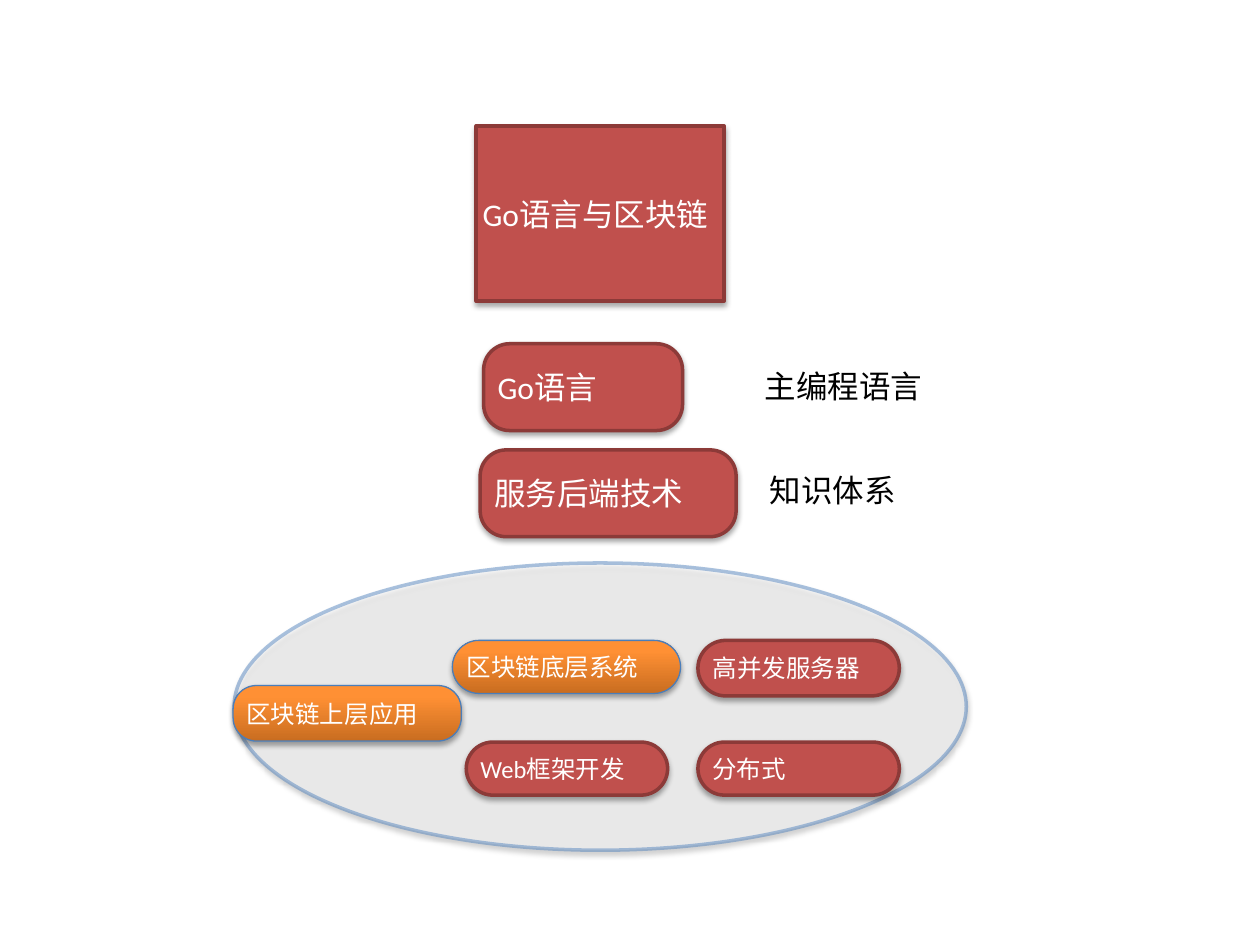
from copy import deepcopy

from lxml import etree
from pptx import Presentation
from pptx import util as u
from pptx.dml.color import RGBColor
from pptx.enum import shapes, text
from pptx.oxml import parse_xml
from pptx.oxml.ns import nsdecls, qn

WHITE = RGBColor(0xFF, 0xFF, 0xFF)
BLACK = RGBColor(0, 0, 0)
RED = RGBColor(0xC0, 0x50, 0x4D)
DARK_RED = RGBColor(0x8C, 0x3A, 0x38)
BLUE = RGBColor(0x4F, 0x81, 0xBD)
EDGE_BLUE = RGBColor(0x4A, 0x7E, 0xBB)
ORANGE_STOPS = [(0, RGBColor(0xC9, 0x6D, 0x20)),
                (0.8, RGBColor(0xFF, 0x90, 0x34)),
                (1, RGBColor(0xFF, 0x90, 0x35))]
FONT = "Calibri"
INSET = u.Cm(0.13)
RECT = shapes.MSO_SHAPE.RECTANGLE
ROUND = shapes.MSO_SHAPE.ROUNDED_RECTANGLE
SHADOW = (f'<a:outerShdw {nsdecls("a")} blurRad="38100" dist="22860" dir="5400000" '
          'rotWithShape="0"><a:srgbClr val="000000"><a:alpha val="35000"/>'
          '</a:srgbClr></a:outerShdw>')


def set_all(target, values):
    for name, value in values.items():
        setattr(target, name, value)


def write(shape, words, size, color, **frame_format):
    frame = shape.text_frame
    set_all(frame, dict(margin_left=INSET, margin_right=INSET, margin_top=INSET,
                        margin_bottom=INSET, **frame_format))
    para = frame.paragraphs[0]
    para.alignment = text.PP_ALIGN.LEFT
    span = para.add_run()
    span.text = words
    set_all(span.font, {"name": FONT, "size": u.Pt(size)})
    span.font.color.rgb = color


def add_shadowed(page, kind, box, edge, width):
    shape = page.shapes.add_shape(kind, *map(u.Cm, box))
    shape.shadow.inherit = False
    shape.line.color.rgb = edge
    shape.line.width = u.Pt(width)
    shape._element.spPr.find(qn("a:effectLst")).append(parse_xml(SHADOW))
    return shape


def fade(color_format):
    """Make a solid colour 47% opaque."""
    node = color_format._xFill.find(qn("a:srgbClr"))
    etree.SubElement(node, qn("a:alpha"), val="47000")


def fill_orange(shape):
    shape.fill.gradient()
    shape.fill.gradient_angle = 90
    stops = shape._element.spPr.find(qn("a:gradFill")).find(qn("a:gsLst"))
    stops.append(deepcopy(stops[-1]))
    for stop, (position, color) in zip(shape.fill.gradient_stops, ORANGE_STOPS):
        stop.position = position
        stop.color.rgb = color


def add_block(page, box, words, size, kind=ROUND, corner=0.5, orange=False):
    edge, width = (EDGE_BLUE, 0.75) if orange else (DARK_RED, 2)
    block = add_shadowed(page, kind, box, edge, width)
    if orange:
        fill_orange(block)
    else:
        block.fill.solid()
        block.fill.fore_color.rgb = RED
    if kind == ROUND:
        block.adjustments[0] = corner
    write(block, words, size, WHITE, word_wrap=True,
          vertical_anchor=text.MSO_ANCHOR.MIDDLE)


def add_topic(page, box, words, label, label_box):
    """A red block with a plain label placed relative to its corner."""
    left, top = box[:2]
    add_block(page, box, words, 18, corner=0.3)
    dx, dy, width, height = label_box
    note = page.shapes.add_textbox(*map(u.Cm, (left + dx, top + dy, width, height)))
    write(note, label, 18, BLACK, word_wrap=False,
          auto_size=text.MSO_AUTO_SIZE.SHAPE_TO_FIT_TEXT)


def add_field(page, box):
    """The ellipse and the application areas inside it."""
    left, top = box[:2]
    oval = add_shadowed(page, shapes.MSO_SHAPE.OVAL, box, BLUE, 2)
    oval.fill.solid()
    oval.fill.fore_color.rgb = WHITE
    for color_format in (oval.fill.fore_color, oval.line.color):
        fade(color_format)
    upper, lower, right = 1.56, 3.61, 9.35
    areas = [("区块链上层应用", -0.02, 2.47, 4.6, 1.12, 0.42, True),
             ("区块链底层系统", 4.4, upper, 4.6, 1.07, 0.5, True),
             ("Web框架开发", 4.68, lower, 4.06, 1.07, 0.5, False),
             ("高并发服务器", right, upper, 4.06, 1.12, 0.5, False),
             ("分布式", right, lower, 4.06, 1.07, 0.5, False)]
    for words, dx, dy, width, height, corner, orange in areas:
        add_block(page, (left + dx, top + dy, width, height), words, 14,
                  corner=corner, orange=orange)


def main():
    deck = Presentation()
    deck.slide_width, deck.slide_height = u.Cm(25.4), u.Cm(19.05)
    page = deck.slides.add_slide(deck.slide_layouts[6])
    add_field(page, (4.72, 11.35, 14.76, 5.79))
    add_block(page, (9.6, 2.54, 5, 3.53), "Go语言与区块链", 18, kind=RECT)
    add_topic(page, (9.75, 6.93, 4.01, 1.75), "Go语言",
              "主编程语言", (5.54, 0.33, 3.45, 1.14))
    add_topic(page, (9.68, 9.07, 5.16, 1.75), "服务后端技术",
              "知识体系", (5.71, 0.3, 2.82, 1.14))
    deck.save("out.pptx")


if __name__ == "__main__":
    main()
